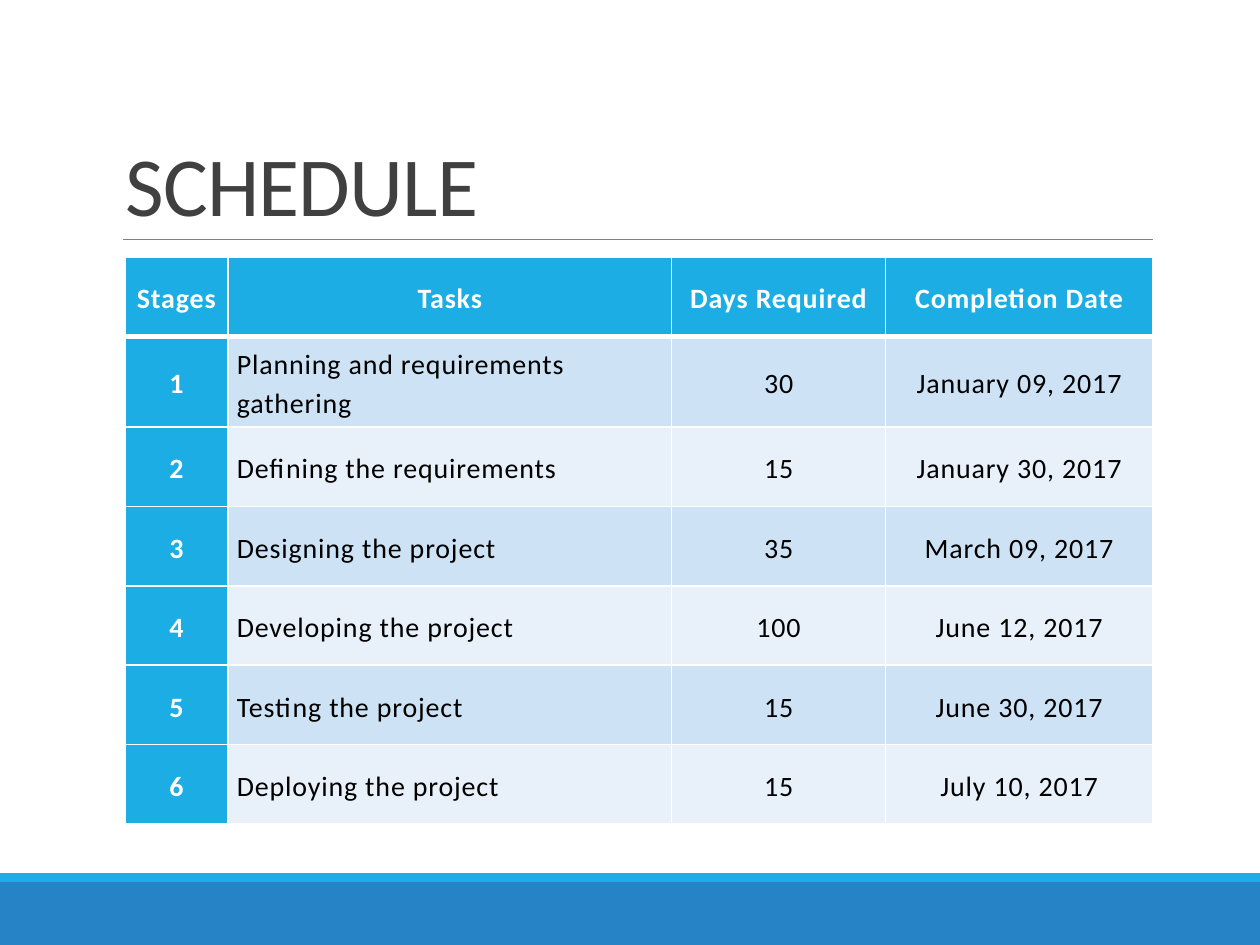
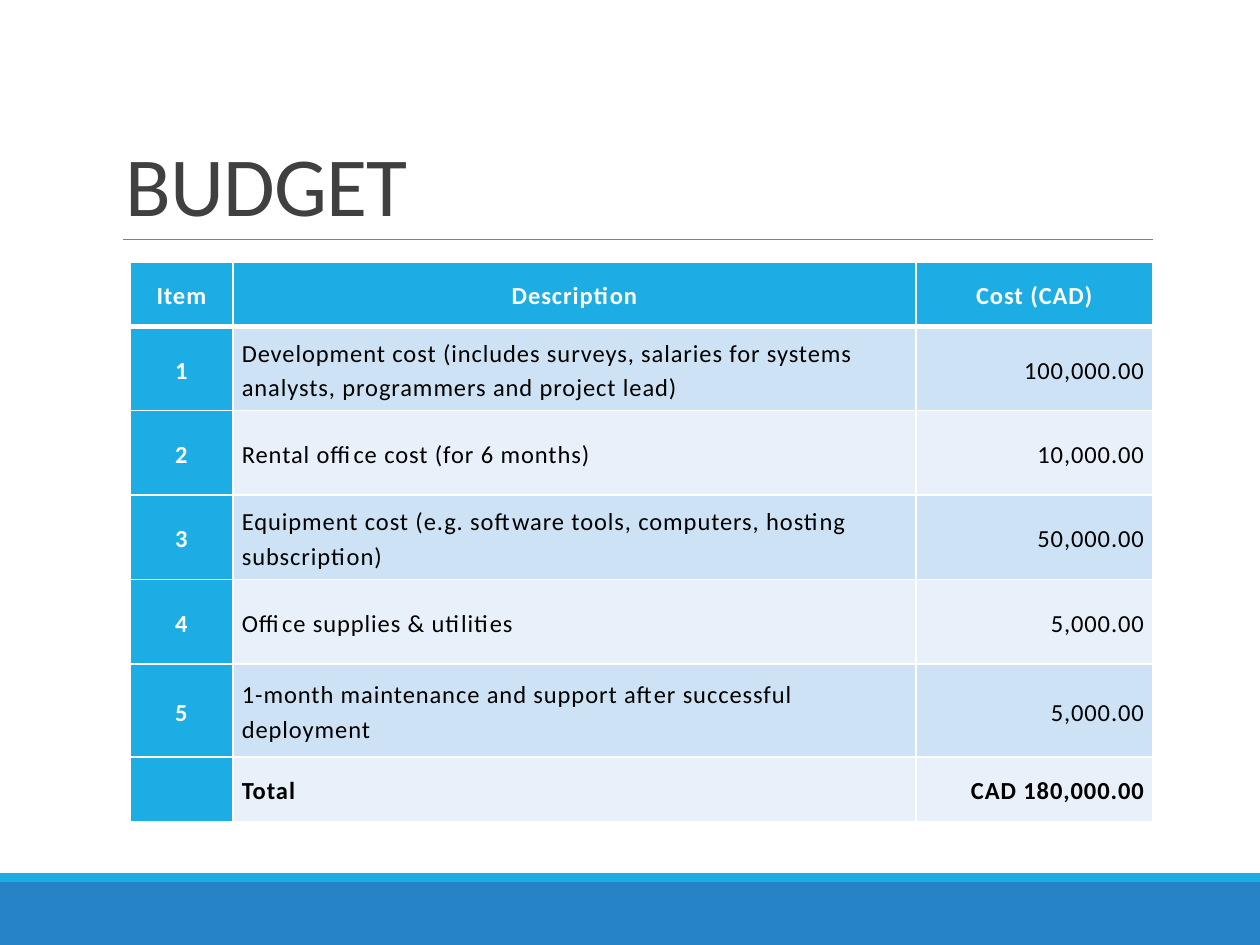
from dataclasses import dataclass

from lxml import etree
from pptx import Presentation
from pptx.dml.color import RGBColor
from pptx.enum.shapes import MSO_CONNECTOR, MSO_SHAPE
from pptx.enum.text import MSO_ANCHOR, PP_ALIGN
from pptx.oxml.ns import qn
from pptx.util import Inches, Pt

LEFT, CENTER, RIGHT = PP_ALIGN.LEFT, PP_ALIGN.CENTER, PP_ALIGN.RIGHT
MIDDLE, BOTTOM = MSO_ANCHOR.MIDDLE, MSO_ANCHOR.BOTTOM
RECTANGLE = MSO_SHAPE.RECTANGLE
STRAIGHT = MSO_CONNECTOR.STRAIGHT


@dataclass(frozen=True)
class Theme:
    font: str = "Calibri"
    footer: str = "2683C6"
    accent: str = "1CADE4"
    rule: str = "808080"
    title: str = "404040"
    body: str = "000000"
    white: str = "FFFFFF"
    stripes: tuple = ("CDE3F5", "E8F1FA")
    title_size: int = 48
    schedule_size: int = 16
    budget_size: int = 14
    title_tracking: float = -0.5
    table_tracking: float = 0.5
    thin_border: int = 1
    header_border: int = 3


THEME = Theme()

SCHEDULE = [
    ("Stages", "Tasks", "Days Required", "Completion Date"),
    ("1", "Planning and requirements gathering", "30", "January 09, 2017"),
    ("2", "Defining the requirements", "15", "January 30, 2017"),
    ("3", "Designing the project", "35", "March 09, 2017"),
    ("4", "Developing the project", "100", "June 12, 2017"),
    ("5", "Testing the project", "15", "June 30, 2017"),
    ("6", "Deploying the project", "15", "July 10, 2017"),
]

BUDGET = [
    ("Item", "Description", "Cost (CAD)"),
    ("1", "Development cost (includes surveys, salaries for systems analysts, "
          "programmers and project lead)", "100,000.00"),
    ("2", "Rental office cost (for 6 months)", "10,000.00"),
    ("3", "Equipment cost (e.g. software tools, computers, hosting subscription)",
     "50,000.00"),
    ("4", "Office supplies & utilities", "5,000.00"),
    ("5", "1-month maintenance and support after successful deployment", "5,000.00"),
    ("", "Total", "CAD 180,000.00"),
]


def color(value):
    return RGBColor.from_string(value)


def add_span(para, text, size, ink, tracking, bold=False):
    span = para.add_run()
    span.text = text
    span.font.name = THEME.font
    span.font.size = Pt(size)
    span.font.bold = bold
    span.font.color.rgb = color(ink)
    span.font._element.set("spc", str(int(tracking * 100)))


def add_band(page, top, height, fill):
    band = page.shapes.add_shape(RECTANGLE, 0, Inches(top), Inches(10), Inches(height))
    band.shadow.inherit = False
    band.fill.solid()
    band.fill.fore_color.rgb = color(fill)
    band.line.fill.background()


def add_rule(page):
    rule = page.shapes.add_connector(
        STRAIGHT, Inches(0.98), Inches(1.9), Inches(9.15), Inches(1.9))
    rule.line.color.rgb = color(THEME.rule)
    rule.line.width = Pt(0.5)
    etree.SubElement(rule._element.spPr, qn("a:effectLst"))


def add_title(page, text):
    box = page.shapes.add_textbox(
        Inches(0.9), Inches(0.31), Inches(8.25), Inches(1.59))
    box.text_frame.word_wrap = True
    box.text_frame.vertical_anchor = BOTTOM
    para = box.text_frame.paragraphs[0]
    para.line_spacing = 0.85
    add_span(para, text, THEME.title_size, THEME.title, THEME.title_tracking)


def add_page(deck, title):
    page = deck.slides.add_slide(deck.slide_layouts[6])
    add_band(page, 7, 0.5, THEME.footer)
    add_band(page, 6.93, 0.07, THEME.accent)
    add_rule(page)
    add_title(page, title)
    return page


def set_border(cell, side, width):
    properties = cell._tc.get_or_add_tcPr()
    line = etree.SubElement(properties, qn(f"a:ln{side}"), w=str(Pt(width)))
    fill = etree.SubElement(line, qn("a:solidFill"))
    etree.SubElement(fill, qn("a:srgbClr"), val=THEME.white)


def style_cell(cell, row, fill):
    heavy_side = {0: "B", 1: "T"}.get(row)
    for side in "LRTB":
        heavy = side == heavy_side
        set_border(cell, side, THEME.header_border if heavy else THEME.thin_border)
    cell.fill.solid()
    cell.fill.fore_color.rgb = color(fill)
    cell.vertical_anchor = MIDDLE
    cell.margin_left = cell.margin_right = Inches(0.07)
    cell.margin_top = cell.margin_bottom = 0


def add_table(page, records, left, top, widths, heights, size, alignments, total=False):
    table = page.shapes.add_table(
        len(records), len(widths), Inches(left), Inches(top),
        Inches(sum(widths)), Inches(sum(heights))).table
    for column, width in zip(table.columns, widths):
        column.width = Inches(width)
    for table_row, height in zip(table.rows, heights):
        table_row.height = Inches(height)
    for row, record in enumerate(records):
        for column, text in enumerate(record):
            heading = row == 0 or column == 0
            cell = table.cell(row, column)
            style_cell(cell, row, THEME.accent if heading else THEME.stripes[(row - 1) % 2])
            if not text:
                continue
            para = cell.text_frame.paragraphs[0]
            para.alignment = CENTER if heading else alignments[column]
            para.line_spacing = 1.15
            bold = heading or (total and row == len(records) - 1)
            add_span(para, text, size, THEME.white if heading else THEME.body,
                     THEME.table_tracking, bold)


def main():
    deck = Presentation()
    deck.slide_width, deck.slide_height = Inches(10), Inches(7.5)

    add_table(add_page(deck, "SCHEDULE"), SCHEDULE, 0.99, 2.04,
              [0.82, 3.52, 1.7, 2.12], [0.63, 0.72] + [0.63] * 5,
              THEME.schedule_size, (CENTER, LEFT, CENTER, CENTER))
    add_table(add_page(deck, "BUDGET"), BUDGET, 1.03, 2.08,
              [0.82, 5.42, 1.88], [0.51] + [0.67] * 4 + [0.74, 0.51],
              THEME.budget_size, (CENTER, LEFT, RIGHT), total=True)

    deck.save("out.pptx")


if __name__ == "__main__":
    main()
